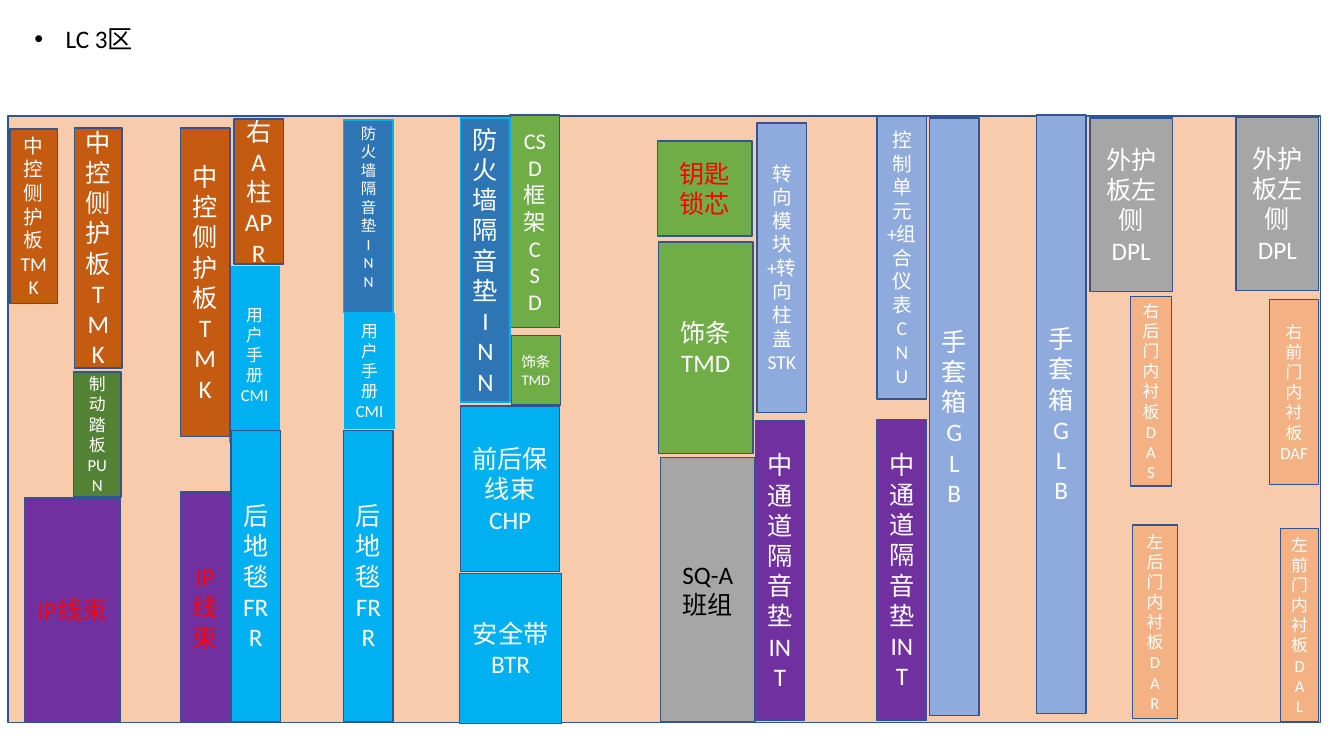
import pptx
import pptx.dml.color
import pptx.enum.shapes
import pptx.enum.text
import pptx.util
from lxml import etree

PX = 9144
FONT = "Calibri"
WHITE, BLACK, RED = "FFFFFF", "000000", "FF0000"
NAVY, PEACH, ORANGE, BROWN = "325491", "F8CBAD", "F4B183", "C55A11"
PURPLE, GREEN, MOSS, GREY = "7030A0", "70AD47", "548235", "A6A6A6"
SKY, BLUE, PERIWINKLE = "00B0F0", "2E75B6", "8FAADC"

PARTS = [
    ((74, 127, 47, 238), BROWN, "中控侧护板TMK", {}),
    ((25, 494, 94, 222), PURPLE, "IP线束", {"color": RED}),
    ((232, 118, 49, 144), BROWN, "右A柱\nAPR", {}),
    ((506, 114, 49, 211), GREEN, "CSD框架\nC\nS\nD", {"size": 16}),
    ((652, 140, 94, 94), GREEN, "钥匙锁芯", {"color": RED}),
    ((653, 240, 94, 210), GREEN, "饰条TMD", {}),
    ((922, 117, 49, 593), PERIWINKLE, "手套箱G\nL\nB", {}),
    ((655, 454, 94, 262), GREY, "SQ-A班组", {"color": BLACK}),
    ((228, 265, 49, 174), SKY, "用户手册CMI", {"size": 12, "line": SKY}),
    ((179, 488, 49, 228), PURPLE, "IP线束", {"color": RED}),
    ((179, 127, 49, 306), BROWN, "中控侧护板TMK", {}),
    ((229, 427, 49, 289), SKY, "后地毯FRR", {}),
    ((341, 427, 49, 289), SKY, "后地毯FRR", {}),
    ((870, 416, 49, 299), PURPLE, "中通道隔音垫INT", {}),
    ((749, 417, 49, 298), PURPLE, "中通道隔音垫INT", {}),
    ((1028, 114, 49, 594), PERIWINKLE, "手套箱\nG\nL\nB", {}),
    ((342, 311, 49, 114), SKY, "用户手册CMI", {"size": 12, "line": SKY}),
    ((456, 569, 101, 149), SKY, "安全带BTR", {}),
    ((870, 115, 49, 281), PERIWINKLE, "控制单元+组合仪表C\nN\nU", {"size": 14}),
    ((751, 122, 49, 287), PERIWINKLE, "转向模块+转向柱盖STK", {"size": 14}),
    ((1259, 297, 49, 184), ORANGE, "右前门内衬板DAF", {"size": 12}),
    ((1081, 117, 82, 172), GREY, "外护板左侧DPL", {}),
    ((1226, 116, 82, 172), GREY, "外护板左侧DPL", {}),
    ((1121, 294, 41, 188), ORANGE, "右后门内衬板D\nA\nS", {"size": 12}),
    ((1123, 521, 45, 192), ORANGE, "左后门内衬板D\nA\nR", {"size": 12}),
    ((1270, 524, 38, 192), ORANGE, "左前门内衬板\nDA\nL", {"size": 12}),
    ((457, 403, 98, 164), SKY, "前后保线束CHP", {}),
    ((507, 333, 49, 69), GREEN, "饰条TMD", {"size": 10.5}),
    ((457, 117, 49, 282), BLUE, "防火墙隔音垫I\nNN", {"line": SKY}),
    ((341, 119, 49, 191), BLUE, "防火墙隔音垫\nI\nN\nN",
     {"size": 11, "line": SKY, "bottom": 23}),
    ((10, 128, 47, 173), BROWN, "中控侧护板TMK", {"size": 14}),
    ((73, 369, 47, 124), MOSS, "制动踏板PUN", {"size": 12}),
]


def px(n):
    """Turn px into EMU."""
    return pptx.util.Emu(n * PX)


def rgb(value):
    """Turn a hex string into a colour."""
    return pptx.dml.color.RGBColor.from_string(value)


def add_bullet(p, indent):
    """Give a paragraph a round bullet with a hanging indent."""
    pPr = p._p.get_or_add_pPr()
    pPr.set("marL", str(px(indent)))
    pPr.set("indent", str(-px(indent)))
    ns = pptx.oxml.ns.qn
    etree.SubElement(pPr, ns("a:buFont")).set("typeface", "Arial")
    etree.SubElement(pPr, ns("a:buChar")).set("char", "•")


def write(tf, text, size=18, color=WHITE, align="CENTER", bottom=5, bullet=0):
    """Fill a text frame, one paragraph for each line of text."""
    tf.word_wrap = True
    tf.auto_size = pptx.enum.text.MSO_AUTO_SIZE.NONE
    tf.vertical_anchor = pptx.enum.text.MSO_ANCHOR.MIDDLE
    tf.margin_bottom = px(bottom)
    tf.text = text
    for p in tf.paragraphs:
        p.alignment = getattr(pptx.enum.text.PP_ALIGN, align)
        if bullet:
            add_bullet(p, bullet)
        for r in p.runs:
            r.font.name = FONT
            r.font.size = pptx.util.Pt(size)
            r.font.color.rgb = rgb(color)


def add_box(s, box, fill, text="", line=NAVY, **fmt):
    """Add an outlined rectangle with optional text."""
    kind = pptx.enum.shapes.MSO_SHAPE.RECTANGLE
    sp = s.shapes.add_shape(kind, *map(px, box))
    sp.shadow.inherit = False
    sp.fill.solid()
    sp.fill.fore_color.rgb = rgb(fill)
    sp.line.color.rgb = rgb(line)
    sp.line.width = pptx.util.Pt(1)
    if text:
        write(sp.text_frame, text, **fmt)


def add_title(s, box, text):
    """Place the bulleted title."""
    sp = s.shapes.title
    sp.left, sp.top, sp.width, sp.height = map(px, box)
    write(sp.text_frame, text, color=BLACK, align="LEFT", bullet=31)


def main():
    """Build the zone layout slide."""
    prs = pptx.Presentation()
    prs.slide_width, prs.slide_height = px(1333), px(750)
    s = prs.slides.add_slide(prs.slide_layouts[5])
    add_title(s, (24, 13, 531, 51), "LC 3区")
    add_box(s, (8, 115, 1302, 602), PEACH)
    for box, fill, text, fmt in PARTS:
        add_box(s, box, fill, text, **fmt)
    prs.save("out.pptx")


if __name__ == "__main__":
    main()
